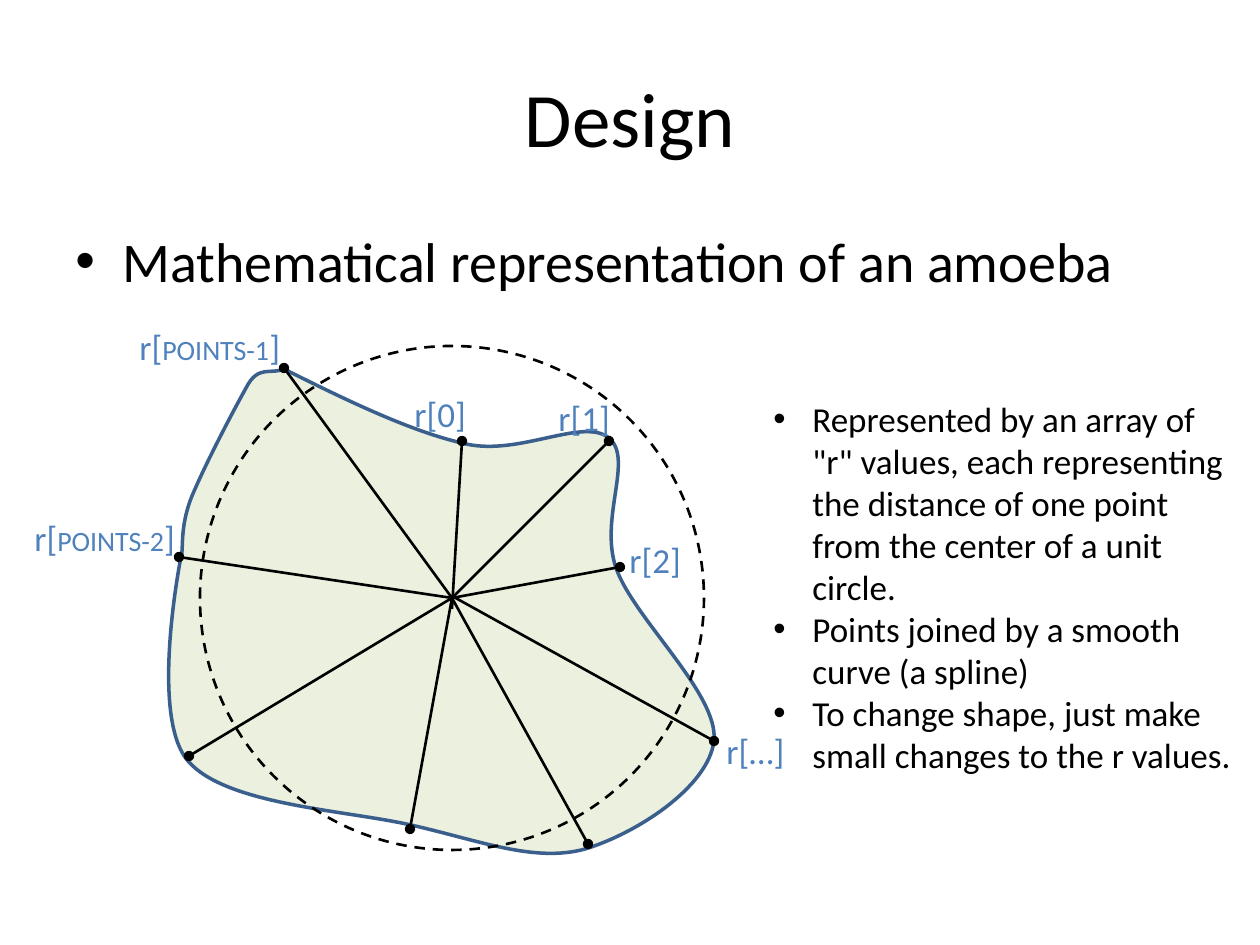
from lxml.etree import SubElement
from pptx import Presentation
from pptx.dml.color import RGBColor
from pptx.enum.dml import MSO_LINE
from pptx.enum.shapes import MSO_CONNECTOR, MSO_SHAPE
from pptx.enum.text import MSO_ANCHOR, MSO_AUTO_SIZE, PP_ALIGN
from pptx.oxml.ns import qn
from pptx.util import Pt

SCALE = 914400 / 126  # EMU per pixel
THEME = {
    "font": "Calibri",
    "black": RGBColor(0, 0, 0),
    "label": RGBColor(0x4F, 0x81, 0xBD),
    "amoeba_fill": RGBColor(0xEB, 0xF1, 0xDE),
    "amoeba_line": RGBColor(0x3A, 0x5F, 0x8C),
    "title_size": 44, "body_size": 32, "text_size": 20, "small_size": 16,
}


def emu(pixels):
    return round(pixels * SCALE)


def add_text(box, paragraphs, color="black", indent=0, **frame_format):
    """Each paragraph is a list of (text, size name) runs; an indent adds bullets."""
    frame = slide.shapes.add_textbox(*map(emu, box)).text_frame
    for name, value in {"word_wrap": True, **frame_format}.items():
        setattr(frame, name, value)
    for index, runs in enumerate(paragraphs):
        paragraph = frame.add_paragraph() if index else frame.paragraphs[0]
        for text, size in runs:
            run = paragraph.add_run()
            run.text = text
            run.font.name = THEME["font"]
            run.font.size = Pt(THEME[size])
            run.font.color.rgb = THEME[color]
        if indent:
            properties = paragraph._p.get_or_add_pPr()
            properties.set("marL", str(emu(indent)))
            properties.set("indent", str(-emu(indent)))
            SubElement(properties, qn("a:buFont"), typeface="Arial")
            SubElement(properties, qn("a:buChar"), char="•")
    return frame


presentation = Presentation()
presentation.slide_width, presentation.slide_height = emu(1260), emu(945)
slide = presentation.slides.add_slide(presentation.slide_layouts[6])

# Amoeba outline: cubic curves as (control, control, end)
outline_start = (284, 369)
outline_curves = [
    ((348, 401), (412, 432), (466, 444)),
    ((520, 456), (583, 417), (609, 438)),
    ((634, 459), (599, 518), (616, 568)),
    ((634, 619), (719, 694), (714, 741)),
    ((708, 788), (635, 834), (585, 849)),
    ((534, 863), (478, 840), (411, 825)),
    ((345, 810), (226, 805), (188, 761)),
    ((149, 716), (181, 557), (181, 557)),
    ((184, 551), (179, 528), (192, 496)),
    ((205, 465), (231, 415), (246, 388)),
    ((258, 364), (271, 375), (284, 369)),
]
builder = slide.shapes.build_freeform(*outline_start, scale=SCALE)
builder.add_line_segments([curve[-1] for curve in outline_curves], close=True)
amoeba = builder.convert_to_shape()

# Fit the frame to the curves and turn the straight segments into curves
left, top, width, height = 169, 369, 546, 484
frame_values = {"left": left, "top": top, "width": width, "height": height}
for name, value in frame_values.items():
    setattr(amoeba, name, emu(value))
outline = next(amoeba._element.iter(qn("a:path")))
outline.set("w", str(emu(width)))
outline.set("h", str(emu(height)))
for segment in list(outline):
    outline.remove(segment)
segments = [("a:moveTo", [outline_start])]
segments += [("a:cubicBezTo", curve) for curve in outline_curves]
for tag, points in segments:
    segment = SubElement(outline, qn(tag))
    for x, y in points:
        SubElement(segment, qn("a:pt"), x=str(emu(x - left)), y=str(emu(y - top)))
SubElement(outline, qn("a:close"))
amoeba.shadow.inherit = False
amoeba.fill.solid()
amoeba.fill.fore_color.rgb = THEME["amoeba_fill"]
amoeba.line.color.rgb = THEME["amoeba_line"]
amoeba.line.width = Pt(2)

# Title and main bullet
title = add_text((63, 38, 1134, 157), [[("Design", "title_size")]],
                 vertical_anchor=MSO_ANCHOR.MIDDLE)
title.paragraphs[0].alignment = PP_ALIGN.CENTER
add_text((63, 220, 1134, 624),
         [[("Mathematical representation of an amoeba", "body_size")]], indent=47)

# Unit circle
circle = slide.shapes.add_shape(MSO_SHAPE.OVAL, *map(emu, (200, 346, 504, 504)))
circle.shadow.inherit = False
circle.fill.background()
circle.line.color.rgb = THEME["black"]
circle.line.width = Pt(1.5)
circle.line.dash_style = MSO_LINE.DASH

# Radii from the center, each ending in a dot
center_x = 452
radii = [  # start y, end x, end y
    (609, 462, 441), (598, 609, 441), (596, 714, 741),
    (598, 588, 844), (598, 410, 829), (598, 189, 756),
    (598, 179, 557), (598, 620, 567), (598, 284, 368),
]
for center_y, end_x, end_y in radii:
    radius = slide.shapes.add_connector(
        MSO_CONNECTOR.STRAIGHT, *map(emu, (center_x, center_y, end_x, end_y)))
    radius.line.color.rgb = THEME["black"]
    radius.line.width = Pt(1.5)
    SubElement(radius.line._get_or_add_ln(), qn("a:tailEnd"), type="oval")
    SubElement(radius._element.spPr, qn("a:effectLst"))

# Radius labels
labels = [  # left, top, width, index, index size
    (402, 386, 84, "0", "text_size"),
    (546, 390, 84, "1", "text_size"),
    (617, 532, 84, "2", "text_size"),
    (714, 723, 84, "…", "text_size"),
    (127, 319, 198, "POINTS-1", "small_size"),
    (22, 510, 198, "POINTS-2", "small_size"),
]
for label_left, label_top, label_width, index, size in labels:
    runs = [("r[", "text_size"), (index, size), ("]", "text_size")]
    add_text((label_left, label_top, label_width, 55), [runs], color="label",
             auto_size=MSO_AUTO_SIZE.SHAPE_TO_FIT_TEXT)

# Explanation
explanation = [
    'Represented by an array of "r" values, each representing the distance '
    "of one point from the center of a unit circle.",
    "Points joined by a smooth curve (a spline)",
    "To change shape, just make small changes to the r values.",
]
add_text((761, 391, 490, 394), [[(text, "text_size")] for text in explanation],
         indent=39, auto_size=MSO_AUTO_SIZE.SHAPE_TO_FIT_TEXT)

presentation.save("out.pptx")
